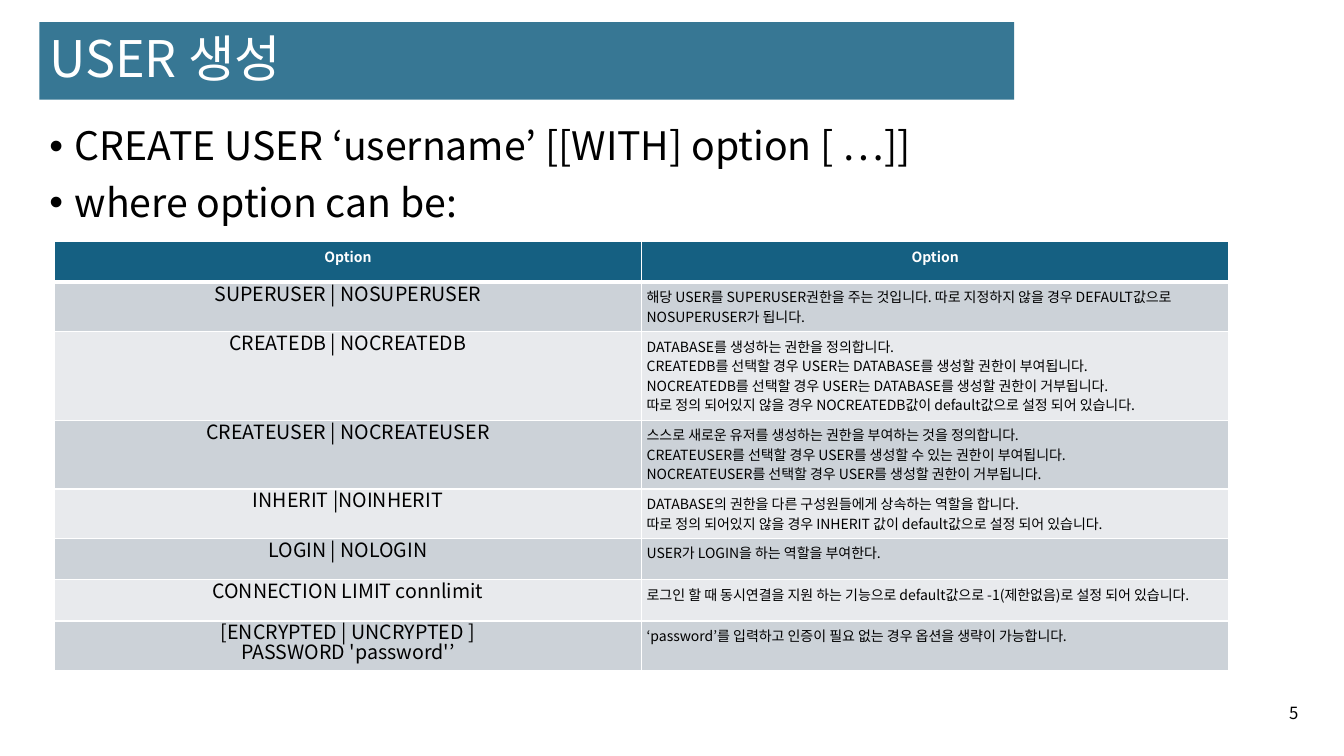
from lxml import etree
from pptx import Presentation
from pptx.dml.color import RGBColor
from pptx.enum.shapes import MSO_SHAPE
from pptx.enum.text import MSO_ANCHOR, MSO_AUTO_SIZE, PP_ALIGN
from pptx.oxml.ns import qn
from pptx.util import Inches, Pt

LEFT, CENTER = PP_ALIGN.LEFT, PP_ALIGN.CENTER
TOP, MIDDLE = MSO_ANCHOR.TOP, MSO_ANCHOR.MIDDLE
NO_AUTOFIT = MSO_AUTO_SIZE.NONE
RECTANGLE = MSO_SHAPE.RECTANGLE

TITLE_AREA = (2.93, 2.93, 72.53, 10.27)
BODY_AREA = (2.93, 16.13, 93, 73.2)
TABLE_AREA = (4.05, 31.87, 87.38, 43.73)
NUMBER_AREA = (94.73, 92.27, 3.08, 4)

HEADINGS = ("Option", "Option")
OPTIONS = [
    ("SUPERUSER | NOSUPERUSER",
     "해당 USER를 SUPERUSER권한을 주는 것입니다. 따로 지정하지 않을 경우 DEFAULT값으로 "
     "NOSUPERUSER가 됩니다."),
    ("CREATEDB | NOCREATEDB",
     "DATABASE를 생성하는 권한을 정의합니다.\n"
     "CREATEDB를 선택할 경우 USER는 DATABASE를 생성할 권한이 부여됩니다.\n"
     "NOCREATEDB를 선택할 경우 USER는 DATABASE를 생성할 권한이 거부됩니다.\n"
     "따로 정의 되어있지 않을 경우 NOCREATEDB값이 default값으로 설정 되어 있습니다."),
    ("CREATEUSER | NOCREATEUSER",
     "스스로 새로운 유저를 생성하는 권한을 부여하는 것을 정의합니다.\n"
     "CREATEUSER를 선택할 경우 USER를 생성할 수 있는 권한이 부여됩니다.\n"
     "NOCREATEUSER를 선택할 경우 USER를 생성할 권한이 거부됩니다."),
    ("INHERIT |NOINHERIT",
     "DATABASE의 권한을 다른 구성원들에게 상속하는 역할을 합니다.\n"
     "따로 정의 되어있지 않을 경우 INHERIT 값이 default값으로 설정 되어 있습니다."),
    ("LOGIN | NOLOGIN", "USER가 LOGIN을 하는 역할을 부여한다."),
    ("CONNECTION LIMIT connlimit",
     "로그인 할 때 동시연결을 지원 하는 기능으로 default값으로 -1(제한없음)로 설정 되어 있습니다."),
    ("[ENCRYPTED | UNCRYPTED ]\nPASSWORD 'password'’",
     "‘password’를 입력하고 인증이 필요 없는 경우 옵션을 생략이 가능합니다."),
]


def color(hex_string):
    return RGBColor.from_string(hex_string)


class SlideBuilder:
    """Holds the style and the current slide; areas are percentages of the slide."""

    FONT = "Noto Sans CJK KR"
    ACCENT, WHITE, BLACK = "156082", "FFFFFF", "000000"
    BANDS = ("CCD2D8", "E8EAED")

    def __init__(self, presentation):
        self.width, self.height = presentation.slide_width, presentation.slide_height
        self.slide = presentation.slides.add_slide(presentation.slide_layouts[1])

    def area(self, left, top, width, height):
        return (round(self.width * left / 100), round(self.height * top / 100),
                round(self.width * width / 100), round(self.height * height / 100))

    def move(self, shape, area):
        shape.left, shape.top, shape.width, shape.height = self.area(*area)

    def set_text(self, paragraph, text, size, ink=BLACK, align=LEFT, bold=False,
                 line_spacing=None, space_before=0):
        paragraph.text = text
        paragraph.alignment = align
        paragraph.line_spacing = line_spacing
        paragraph.space_before = Pt(space_before)
        font = paragraph.font
        font.name, font.size, font.bold = self.FONT, Pt(size), bold
        font.color.rgb = color(ink)
        properties = paragraph._p.pPr.find(qn("a:defRPr"))
        etree.SubElement(properties, qn("a:ea"), typeface=self.FONT)

    def title(self, text, area, opacity):
        """Sets the title over a translucent band."""
        title = self.slide.shapes.title
        self.move(title, area)
        frame = title.text_frame
        frame.auto_size, frame.vertical_anchor = NO_AUTOFIT, MIDDLE
        self.set_text(frame.paragraphs[0], text, 36, self.WHITE,
                      line_spacing=0.9, space_before=10)
        band = self.slide.shapes.add_shape(RECTANGLE, *self.area(*area))
        band.shadow.inherit = False
        band.line.fill.background()
        band.fill.solid()
        band.fill.fore_color.rgb = color(self.ACCENT)
        band_color = band.element.spPr.find(".//" + qn("a:srgbClr"))
        etree.SubElement(band_color, qn("a:alpha"), val=str(opacity * 1000))
        title.element.addprevious(band.element)

    def bullets(self, lines, area):
        body = self.slide.placeholders[1]
        self.move(body, area)
        frame = body.text_frame
        frame.auto_size, frame.vertical_anchor = NO_AUTOFIT, TOP
        for index, line in enumerate(lines):
            paragraph = frame.add_paragraph() if index else frame.paragraphs[0]
            self.set_text(paragraph, line, 28, line_spacing=0.9, space_before=10)
            properties = paragraph._p.pPr
            properties.set("marL", str(Inches(0.25)))
            properties.set("indent", str(-Inches(0.25)))
            bullet = etree.Element(qn("a:buChar"), char="•")
            properties.find(qn("a:defRPr")).addprevious(bullet)

    def borders(self, cell, bottom):
        properties = cell._tc.get_or_add_tcPr()
        widths = {"a:lnL": 1, "a:lnR": 1, "a:lnT": 1, "a:lnB": bottom}
        for index, (side, width) in enumerate(widths.items()):
            line = etree.Element(qn(side), w=str(Pt(width)))
            fill = etree.SubElement(line, qn("a:solidFill"))
            etree.SubElement(fill, qn("a:srgbClr"), val=self.WHITE)
            properties.insert(index, line)

    def cell(self, cell, text, size, fill, bottom=1, **style):
        self.set_text(cell.text_frame.paragraphs[0], text, size, **style)
        self.borders(cell, bottom)
        cell.fill.solid()
        cell.fill.fore_color.rgb = color(fill)

    def table(self, headings, rows, area):
        table = self.slide.shapes.add_table(
            len(rows) + 1, len(headings), *self.area(*area)).table
        for row in table.rows:
            row.height = Inches(0.41)
        for column, heading in enumerate(headings):
            self.cell(table.cell(0, column), heading, 10, self.ACCENT, bottom=3,
                      ink=self.WHITE, align=CENTER, bold=True)
        for row, texts in enumerate(rows, 1):
            fill = self.BANDS[(row - 1) % 2]
            for column, (text, size, align) in enumerate(
                    zip(texts, (14, 10), (CENTER, LEFT))):
                cell = table.cell(row, column)
                cell.margin_left = cell.margin_right = Inches(0.05)
                cell.margin_top = cell.margin_bottom = Inches(0.05)
                self.cell(cell, text, size, fill, align=align, line_spacing=Pt(14))

    def page_number(self, text, area):
        box = self.slide.shapes.add_textbox(*self.area(*area))
        box.text_frame.word_wrap = False
        self.set_text(box.text_frame.paragraphs[0], text, 12, align=CENTER)


def main():
    presentation = Presentation()
    presentation.slide_width, presentation.slide_height = Inches(13.33), Inches(7.5)
    builder = SlideBuilder(presentation)
    builder.title("USER 생성", TITLE_AREA, opacity=85)
    builder.bullets(["CREATE USER ‘username’ [[WITH] option [ …]]",
                     "where option can be:"], BODY_AREA)
    builder.table(HEADINGS, OPTIONS, TABLE_AREA)
    builder.page_number("5", NUMBER_AREA)
    presentation.save("out.pptx")


if __name__ == "__main__":
    main()
